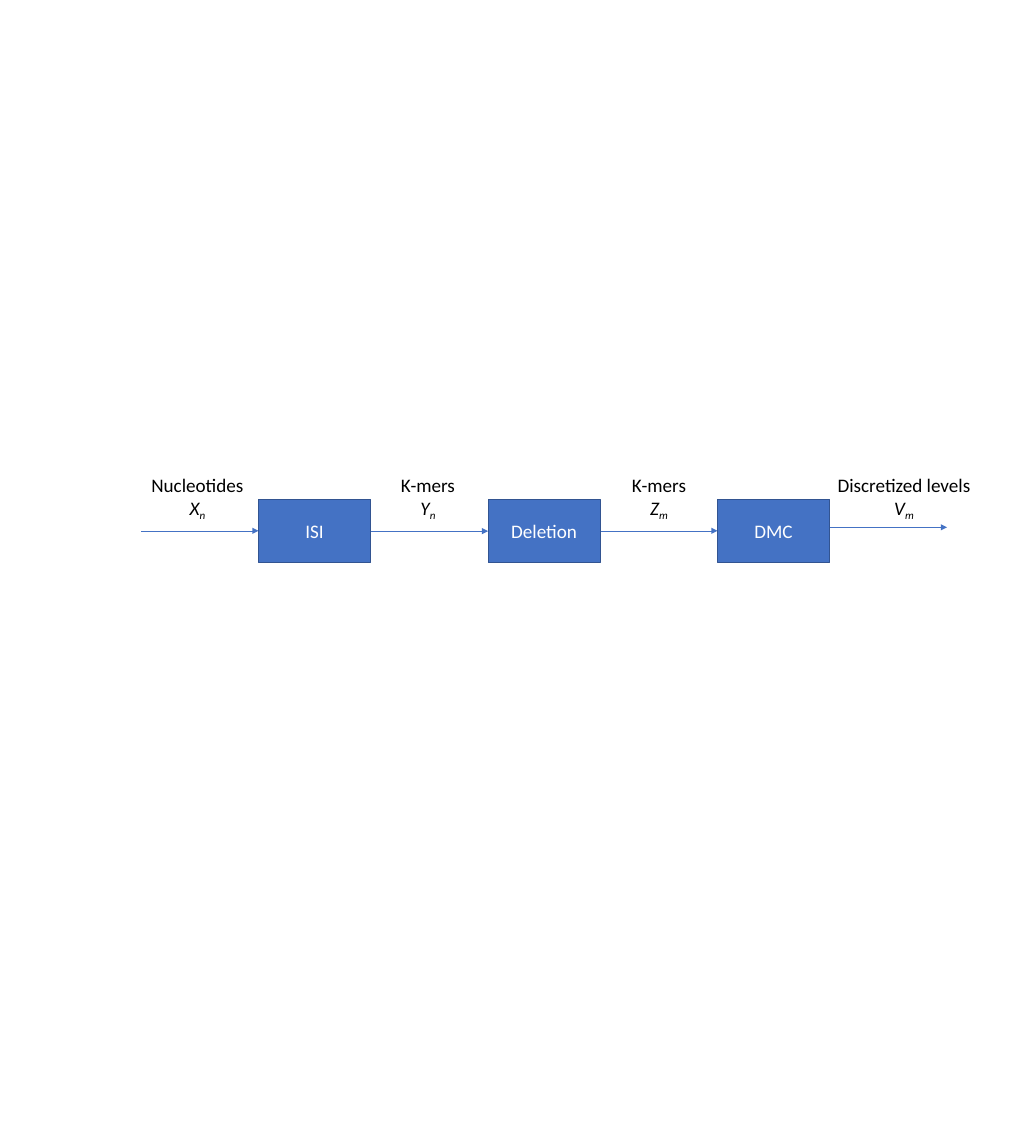
import pptx
import pptx.util
import pptx.dml.color
import pptx.enum.shapes
import pptx.enum.text
import lxml.etree
from dataclasses import dataclass

Pt = pptx.util.Pt
Shape = pptx.enum.shapes.MSO_SHAPE
Link = pptx.enum.shapes.MSO_CONNECTOR
Align = pptx.enum.text.PP_ALIGN
Anchor = pptx.enum.text.MSO_ANCHOR
NS = "http://schemas.openxmlformats.org/drawingml/2006/main"


@dataclass
class Theme:
    """Colours, font and sizes of the slide."""
    blue: str = "4472C4"
    edge: str = "325491"
    white: str = "FFFFFF"
    black: str = "000000"
    font: str = "Calibri"
    size: float = 18
    sub: int = -25000


LOOK = Theme()


def tint(code):
    """Turn a hex code into a colour."""
    return pptx.dml.color.RGBColor.from_string(code)


def write(para, text, color=LOOK.black, italic=False, base=None):
    """Add one run of formatted text to a centred paragraph."""
    para.alignment = Align.CENTER
    run = para.add_run()
    run.text = text
    font = run.font
    font.name, font.size, font.italic = LOOK.font, Pt(LOOK.size), italic
    font.color.rgb = tint(color)
    if base:
        run._r.get_or_add_rPr().set("baseline", str(base))


def add_box(slide, left, top, width, height, name):
    """Draw one channel block with its name."""
    box = slide.shapes.add_shape(
        Shape.RECTANGLE, Pt(left), Pt(top), Pt(width), Pt(height))
    box.shadow.inherit = False
    box.fill.solid()
    box.fill.fore_color.rgb = tint(LOOK.blue)
    box.line.color.rgb = tint(LOOK.edge)
    box.line.width = Pt(1)
    box.text_frame.vertical_anchor = Anchor.MIDDLE
    write(box.text_frame.paragraphs[0], name, color=LOOK.white)


def add_arrow(slide, left, y, width):
    """Draw a level arrow pointing right."""
    arrow = slide.shapes.add_connector(
        Link.STRAIGHT, Pt(left), Pt(y), Pt(left + width), Pt(y))
    arrow.line.color.rgb = tint(LOOK.blue)
    arrow.line.width = Pt(0.5)
    line = arrow.line._get_or_add_ln()
    lxml.etree.SubElement(line, f"{{{NS}}}tailEnd", type="triangle")
    lxml.etree.SubElement(arrow._element.spPr, f"{{{NS}}}effectLst")


def add_label(slide, mid, top, width, title, sign, index):
    """Place a signal title above its symbol, centred on mid."""
    label = slide.shapes.add_textbox(
        Pt(mid - width / 2), Pt(top), Pt(width), Pt(51))
    frame = label.text_frame
    frame.word_wrap = True
    write(frame.paragraphs[0], title)
    para = frame.add_paragraph()
    write(para, sign, italic=True)
    write(para, index, italic=True, base=LOOK.sub)


def add_chain(slide, left, top, pitch, width, height):
    """Lay out signals and blocks from left to right."""
    gap = pitch - width
    blocks = ["ISI", "Deletion", "DMC"]
    # Title, symbol, index, label centre, label width, arrow drop
    signals = [
        ("Nucleotides", "X", "n", 53, 122.4, 58),
        ("K-mers", "Y", "n", 54, 75.6, 58.3),
        ("K-mers", "Z", "m", 55.4, 75.6, 58),
        ("Discretized levels", "V", "m", 70, 162, 54.7),
    ]
    for i, (title, sign, index, mid, wide, drop) in enumerate(signals):
        x = left + i * pitch
        add_arrow(slide, x, top + drop, gap)
        add_label(slide, x + mid, top, wide, title, sign, index)
    for i, name in enumerate(blocks):
        add_box(slide, left + gap + i * pitch, top + 28.1, width, height, name)


def main():
    """Build and save the slide."""
    deck = pptx.Presentation()
    deck.slide_width, deck.slide_height = Pt(960), Pt(1080)
    slide = deck.slides.add_slide(deck.slide_layouts[6])
    add_chain(slide, left=132.8, top=441.4, pitch=216, width=105.4, height=59.8)
    deck.save("out.pptx")


main()
